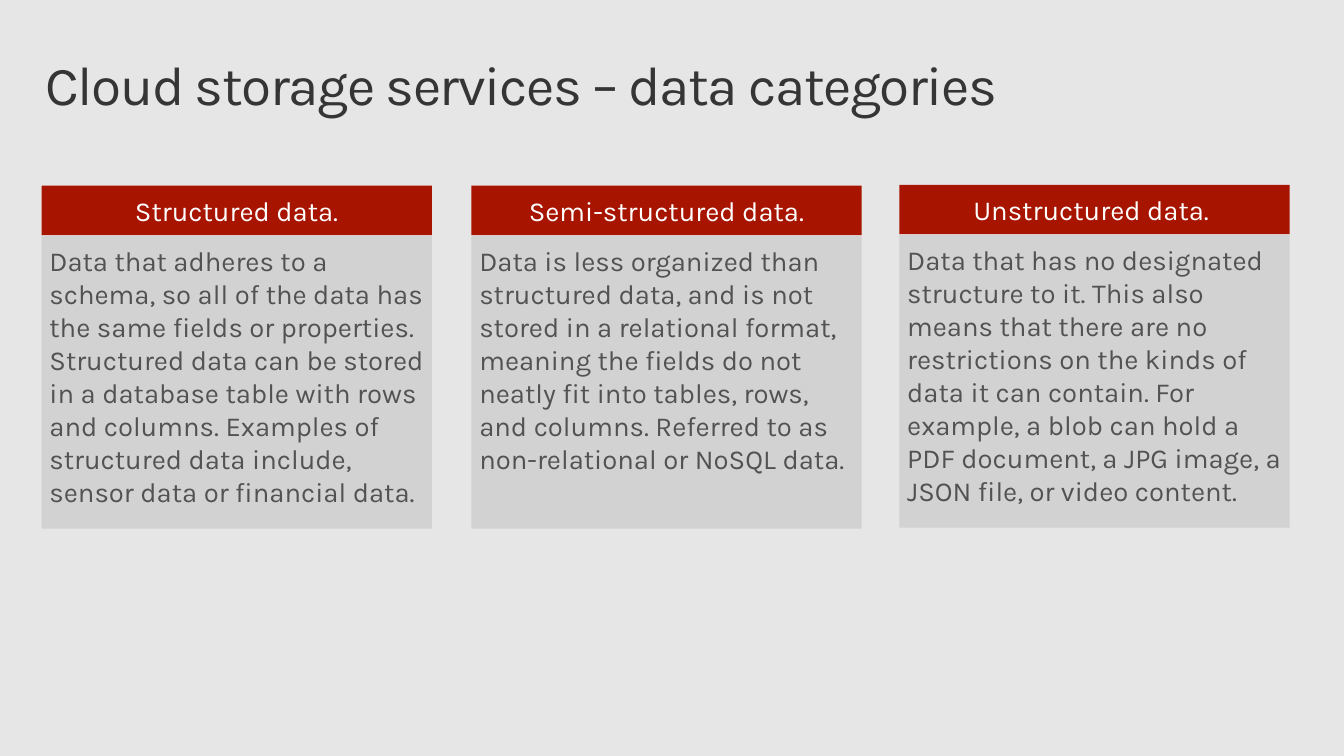
from pptx import Presentation
from pptx.dml.color import RGBColor
from pptx.enum.shapes import MSO_SHAPE as Shape
from pptx.enum.text import MSO_ANCHOR as Anchor, PP_ALIGN as Align
from pptx.util import Inches, Pt


def color(code):
    return RGBColor.from_string(code)


def write(shape, text, size, ink, pads, anchor=Anchor.TOP, align=Align.LEFT):
    """Put one wrapped paragraph in the shape; pads are left, right, top and bottom."""
    frame = shape.text_frame
    frame.word_wrap = True
    frame.vertical_anchor = anchor
    left, right, upper, lower = pads
    frame.margin_left, frame.margin_right = Inches(left), Inches(right)
    frame.margin_top, frame.margin_bottom = Inches(upper), Inches(lower)
    frame.text = text
    para = frame.paragraphs[0]
    para.alignment = align
    font = para.runs[0].font
    font.name = "Karla"
    font.size = Pt(size)
    font.color.rgb = color(ink)
    return para


deck = Presentation()
deck.slide_width = Inches(13.6)
deck.slide_height = Inches(7.65)
slide = deck.slides.add_slide(deck.slide_layouts[6])
slide.background.fill.solid()
slide.background.fill.fore_color.rgb = color("E6E6E6")

title = slide.shapes.add_textbox(Inches(0.3), Inches(0.49), Inches(13), Inches(1))
para = write(title, "Cloud storage services – data categories", 40, "353535",
             (0.16, 0.16, 0.1, 0.1))
para.line_spacing = 0.9
para.runs[0]._r.get_or_add_rPr().set("spc", "-100")

# Left, top, heading, body
cards = [
    (0.42, 1.88, "Structured data.",
     "Data that adheres to a schema, so all of the data has the same fields or "
     "properties. Structured data can be stored in a database table with rows and "
     "columns. Examples of structured data include, sensor data or financial data."),
    (4.77, 1.88, "Semi-structured data.",
     "Data is less organized than structured data, and is not stored in a relational "
     "format, meaning the fields do not neatly fit into tables, rows, and columns. "
     "Referred to as non-relational or NoSQL data."),
    (9.1, 1.87, "Unstructured data. ",
     "Data that has no designated structure to it. This also means that there are no "
     "restrictions on the kinds of data it can contain. For example, a blob can hold a "
     "PDF document, a JPG image, a JSON file, or video content."),
]
head_pads = (0, 0, 0.05, 0.05)
body_pads = (0.08, 0.05, 0.08, 0.08)  # narrow right pad keeps the longest line whole

for left, top, heading, body in cards:
    parts = [
        (top, 0.5, "A71400", heading, "FFFFFF", head_pads, Anchor.MIDDLE, Align.CENTER),
        (top + 0.51, 2.96, "D2D2D2", body, "525252", body_pads, Anchor.TOP, Align.LEFT),
    ]
    for y, height, fill, text, ink, pads, anchor, align in parts:
        box = slide.shapes.add_shape(
            Shape.RECTANGLE, Inches(left), Inches(y), Inches(3.95), Inches(height))
        box.shadow.inherit = False
        box.fill.solid()
        box.fill.fore_color.rgb = color(fill)
        box.line.fill.background()
        write(box, text, 20, ink, pads, anchor, align)

deck.save("out.pptx")
